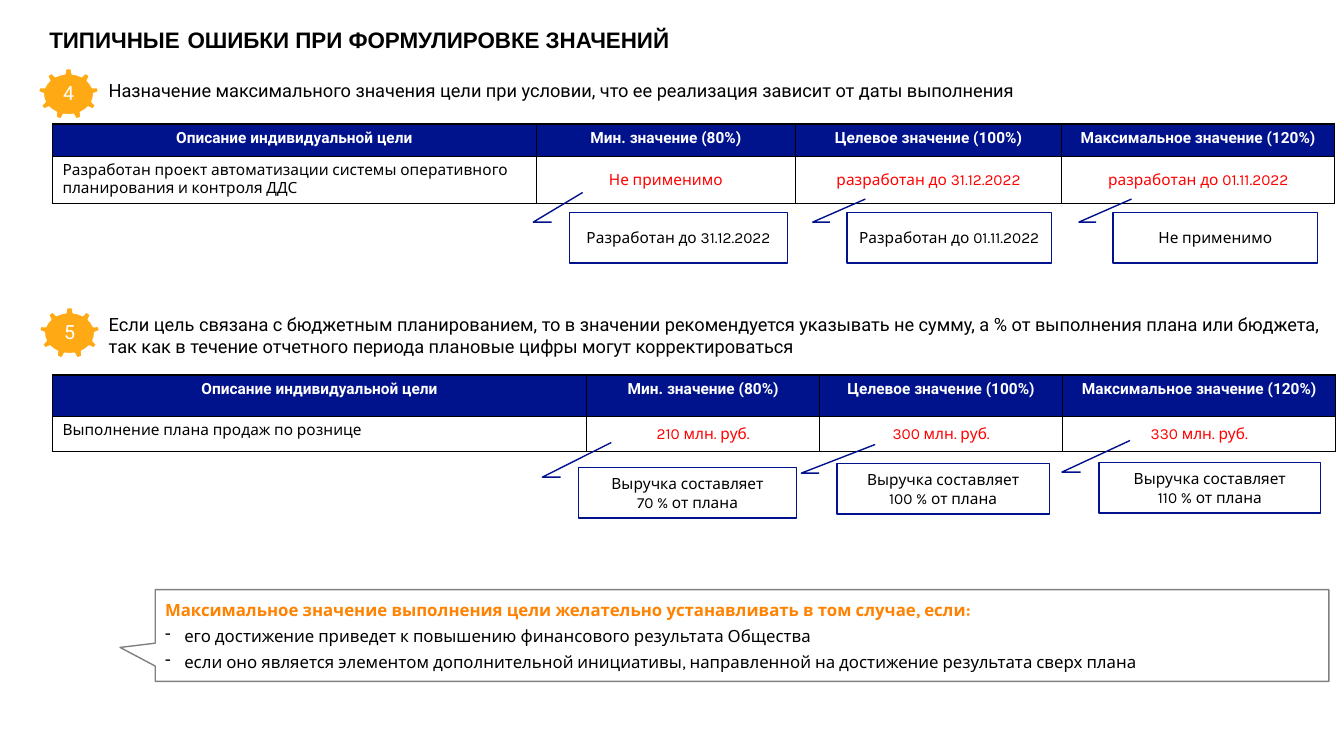
from pptx import Presentation
from pptx.dml.color import RGBColor
from pptx.enum.shapes import MSO_SHAPE as Shape
from pptx.enum.text import MSO_ANCHOR as Anchor, MSO_AUTO_SIZE as AutoSize, PP_ALIGN as Align
from pptx.oxml import parse_xml
from pptx.oxml.ns import nsdecls
from pptx.util import Emu, Pt

COLORS = {"navy": "00128C", "orange": "FFAA14", "amber": "FF8200", "red": "FF0000",
          "gray": "808080", "black": "000000", "white": "FFFFFF"}

LEFT, CENTER = {"alignment": Align.LEFT}, {"alignment": Align.CENTER}
POINT = {"alignment": Align.LEFT, "space_before": Pt(4)}

STYLES = {
    "title": ("Arial", 16, True, "black", {"line_spacing": 0.9}),
    "lead": ("Roboto", 13, False, "black", LEFT),
    "badge": ("Roboto", 14, False, "white", CENTER),
    "head": ("Roboto", 11, True, "white", CENTER),
    "goal": ("Karla", 11, False, "black", LEFT),
    "value": ("Karla", 11, False, "red", CENTER),
    "note": ("Karla", 11, False, "black", CENTER),
    "tip": ("Karla", 12, True, "amber", LEFT),
    "point": ("Karla", 12, False, "black", POINT),
}

HEADINGS = ["Описание индивидуальной цели", "Мин. значение (80%)",
            "Целевое значение (100%)", "Максимальное значение (120%)"]


class SlideBuilder:
    """Draws styled elements on the current slide, with lengths in px."""

    SCALE = 9144

    def __init__(self, width, height):
        self.deck = Presentation()
        self.deck.slide_width, self.deck.slide_height = self.px(width, height)
        self.page = self.deck.slides.add_slide(self.deck.slide_layouts[6])

    def px(self, *lengths):
        return [Emu(length * self.SCALE) for length in lengths]

    def color(self, name):
        return RGBColor.from_string(COLORS[name])

    def assign(self, target, values):
        for name, value in values.items():
            setattr(target, name, value)

    def span(self, para, words, style, size=None):
        font, points, bold, color, layout = STYLES[style]
        self.assign(para, layout)
        span = para.add_run()
        span.text = words
        self.assign(span.font, {"name": font, "size": Pt(size or points), "bold": bold})
        span.font.color.rgb = self.color(color)

    def lines(self, frame, lines, style):
        for index, line in enumerate(lines):
            para = frame.add_paragraph() if index else frame.paragraphs[0]
            self.span(para, line, style)

    def text(self, at, lines, style, parent=None):
        box = (parent or self.page).shapes.add_textbox(*self.px(*at))
        self.assign(box.text_frame, {"word_wrap": True, "auto_size": AutoSize.SHAPE_TO_FIT_TEXT})
        self.lines(box.text_frame, lines, style)
        return box

    def shape(self, kind, at, fill, line, adjust=(), parent=None):
        box = (parent or self.page).shapes.add_shape(kind, *self.px(*at))
        box.shadow.inherit = False
        if fill:
            box.fill.solid()
            box.fill.fore_color.rgb = self.color(fill)
        else:
            box.fill.background()
        box.line.color.rgb = self.color(line)
        box.line.width = Pt(1)
        for index, value in enumerate(adjust):
            box.adjustments[index] = value
        self.assign(box.text_frame, {"word_wrap": True, "vertical_anchor": Anchor.MIDDLE})
        return box

    def badge(self, left, top, number):
        group = self.page.shapes.add_group_shape()
        self.shape(Shape.GEAR_9, (left, top, 60, 51), "orange", "white", parent=group)
        self.text((left + 6, top + 7, 48, 34), [number], "badge", group)

    def callout(self, at, tip, lines):
        adjust = (0.188, -0.083, 0.188, -0.167, *tip)
        box = self.shape(Shape.LINE_CALLOUT_2, at, "white", "navy", adjust)
        self.lines(box.text_frame, lines, "note")

    def bullet(self, para, mark, indent):
        props = para._p.get_or_add_pPr()
        props.set("marL", str(indent * self.SCALE))
        props.set("indent", str(-indent * self.SCALE))
        props.append(parse_xml(f'<a:buChar {nsdecls("a")} char="{mark}"/>'))

    def cell(self, cell, words, style, fill):
        props = cell._tc.get_or_add_tcPr()
        for side in "LRTB":
            props.append(parse_xml(
                f'<a:ln{side} {nsdecls("a")} w="12700"><a:solidFill>'
                f'<a:srgbClr val="{COLORS["black"]}"/></a:solidFill></a:ln{side}>'))
        cell.fill.solid()
        cell.fill.fore_color.rgb = self.color(fill)
        if style == "value":
            self.assign(cell, {"vertical_anchor": Anchor.MIDDLE, "margin_left": 0,
                               "margin_right": 0, "margin_top": 0, "margin_bottom": 0})
        self.lines(cell.text_frame, [words], style)

    def table(self, left, top, widths, heights, goal, values):
        at = self.px(left, top, sum(widths), sum(heights))
        grid = self.page.shapes.add_table(len(heights), len(widths), *at).table
        for column, width in zip(grid.columns, self.px(*widths)):
            column.width = width
        for row, height in zip(grid.rows, self.px(*heights)):
            row.height = height
        for index, heading in enumerate(HEADINGS):
            self.cell(grid.cell(0, index), heading, "head", "navy")
        for index, words in enumerate([goal, *values]):
            self.cell(grid.cell(1, index), words, "value" if index else "goal", "white")


def main():
    slide = SlideBuilder(1333, 750)

    title = slide.text((39, 19, 1231, 40), ["ТИПИЧНЫЕ"], "title").text_frame.paragraphs[0]
    slide.span(title, " ", "title", 20)
    slide.span(title, "ОШИБКИ ПРИ ФОРМУЛИРОВКЕ ЗНАЧЕНИЙ", "title")

    slide.text((98, 74, 1124, 32), [
        "Назначение максимального значения цели при условии, "
        "что ее реализация зависит от даты выполнения"], "lead")
    slide.table(52, 123, [480, 257, 264, 271], [32, 47],
                "Разработан проект автоматизации системы оперативного "
                "планирования и контроля ДДС",
                ["Не применимо", "разработан до 31.12.2022", "разработан до 01.11.2022"])

    slide.text((98, 306, 1220, 54), [
        "Если цель связана с бюджетным планированием, то в значении рекомендуется "
        "указывать не сумму, а % от выполнения плана или бюджета, так как в течение "
        "отчетного периода плановые цифры могут корректироваться"], "lead")
    slide.table(52, 372, [530, 231, 241, 271], [41, 35],
                "Выполнение плана продаж по рознице",
                [f"{amount} млн. руб." for amount in (210, 300, 330)])

    slide.badge(38, 68, "4")
    slide.badge(39, 305, "5")

    for left, width, tip, words in [
            (565, 216, (-0.4, 0.06), "Разработан до 31.12.2022"),
            (840, 203, (-0.27, 0.09), "Разработан до 01.11.2022"),
            (1104, 203, (-0.27, 0.09), "Не применимо")]:
        slide.callout((left, 211, width, 50), tip, [words])

    for left, top, width, tip, share in [
            (574, 464, 216, (-0.5, 0.15), 70),
            (830, 460, 211, (-0.38, 0.18), 100),
            (1090, 459, 220, (-0.44, 0.14), 110)]:
        slide.callout((left, top, width, 50), tip,
                      ["Выручка составляет", f"{share} % от плана"])

    advice = slide.shape(Shape.RECTANGULAR_CALLOUT, (154, 585, 1164, 91),
                         None, "gray", (-0.53, 0.13)).text_frame
    slide.lines(advice, ["Максимальное значение выполнения цели желательно "
                         "устанавливать в том случае, если:"], "tip")
    for words in [
            "его достижение приведет к повышению финансового результата Общества",
            "если оно является элементом дополнительной инициативы, "
            "направленной на достижение результата сверх плана"]:
        para = advice.add_paragraph()
        slide.span(para, words, "point")
        slide.bullet(para, "-", 19)

    slide.deck.save("out.pptx")


if __name__ == "__main__":
    main()
